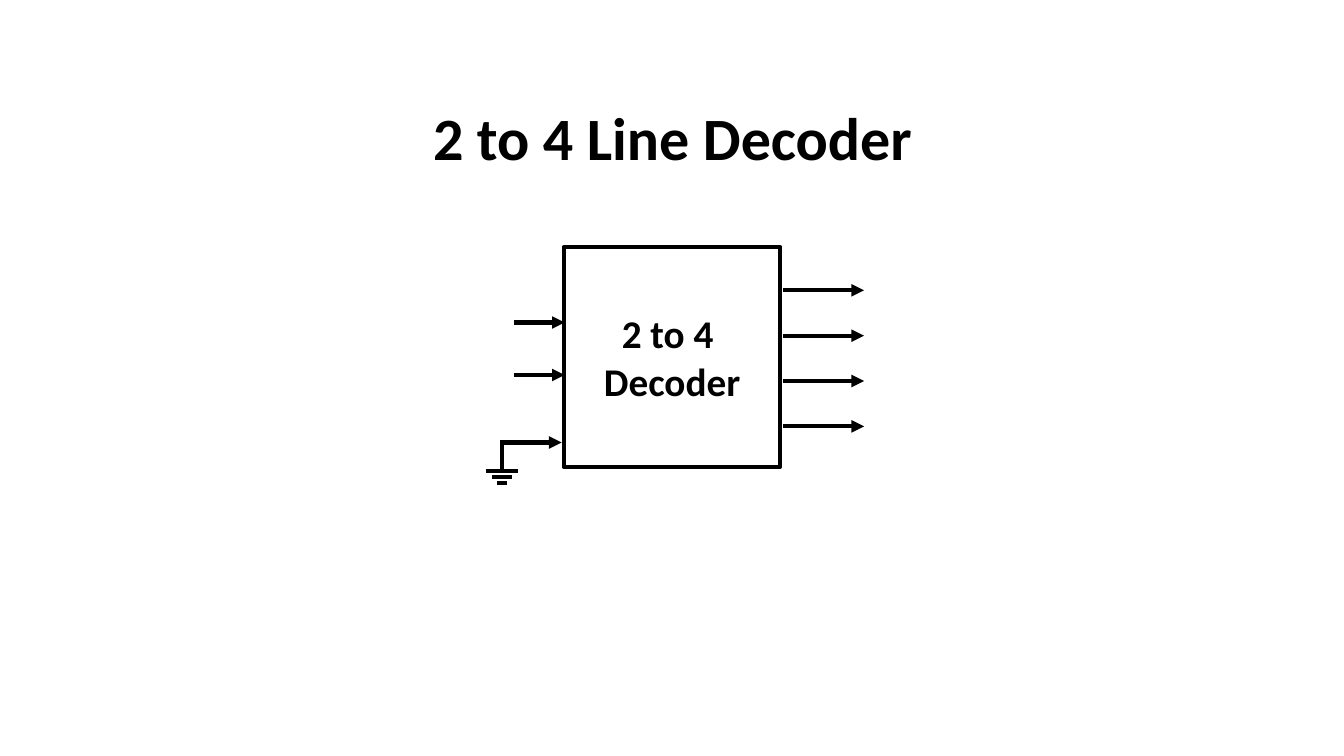
from lxml.etree import SubElement
from pptx import Presentation
from pptx.dml.color import RGBColor as RGB
from pptx.enum.shapes import MSO_CONNECTOR as Link, MSO_SHAPE as Form
from pptx.enum.text import MSO_ANCHOR as Anchor, PP_ALIGN as Align
from pptx.oxml.ns import qn
from pptx.util import Inches, Pt

COLORS = {"ink": "000000"}
INK = RGB.from_string(COLORS["ink"])


def write(shape, text, size, space=1.0):
    frame = shape.text_frame
    frame.word_wrap = True
    frame.vertical_anchor = Anchor.MIDDLE
    frame.text = text
    for para in frame.paragraphs:
        para.alignment = Align.CENTER
        para.line_spacing = space
        font = para.runs[0].font
        font.name, font.size, font.bold = "Calibri", Pt(size), True
        font.color.rgb = INK


def wire(group, x1, y1, x2, y2, arrow=False):
    ends = [Inches(v) for v in (x1, y1, x2, y2)]
    line = group.shapes.add_connector(Link.STRAIGHT, *ends)
    line.line.width = Pt(3)
    line.line.color.rgb = INK
    props = line._element.spPr
    if arrow:
        SubElement(props.find(qn("a:ln")), qn("a:tailEnd"), type="triangle")
    SubElement(props, qn("a:effectLst"))


def title(slide, x, y, w, h):
    box = slide.shapes.add_textbox(*map(Inches, (x, y, w, h)))
    write(box, "2 to 4 Line Decoder", size=42.9, space=0.9)


def block(slide, x, y, w, h):
    box = slide.shapes.add_shape(Form.RECTANGLE, *map(Inches, (x, y, w, h)))
    box.shadow.inherit = False
    box.fill.background()
    box.line.color.rgb = INK
    box.line.width = Pt(3)
    write(box, "2 to 4 \nDecoder", size=28)


def arrows(slide, x, y, width, count, step):
    group = slide.shapes.add_group_shape()
    for i in range(count):
        row = y + i * step
        wire(group, x, row, x + width, row, arrow=True)


def ground(slide, x, y, width, drop):
    group = slide.shapes.add_group_shape()
    wire(group, x - 0.02, y, x + width, y, arrow=True)
    wire(group, x, y - 0.02, x, y + drop)
    for i, half in enumerate((0.16, 0.1, 0.05)):
        row = y + drop + i * 0.06
        wire(group, x - half, row, x + half, row)


def decoder(slide, x, y, w, h):
    block(slide, x, y, w, h)
    arrows(slide, x + w + 0.03, y + 0.43, width=0.8, count=4, step=0.45)
    ground(slide, x - 0.61, y + 1.94, width=0.59, drop=0.28)
    arrows(slide, x - 0.49, y + 0.75, width=0.5, count=2, step=0.52)


def main():
    deck = Presentation()
    deck.slide_width, deck.slide_height = Inches(13.33), Inches(7.5)
    slide = deck.slides.add_slide(deck.slide_layouts[6])
    title(slide, 3.67, 1.01, 6, 0.77)
    decoder(slide, 5.59, 2.45, 2.15, 2.18)
    deck.save("out.pptx")


if __name__ == "__main__":
    main()
